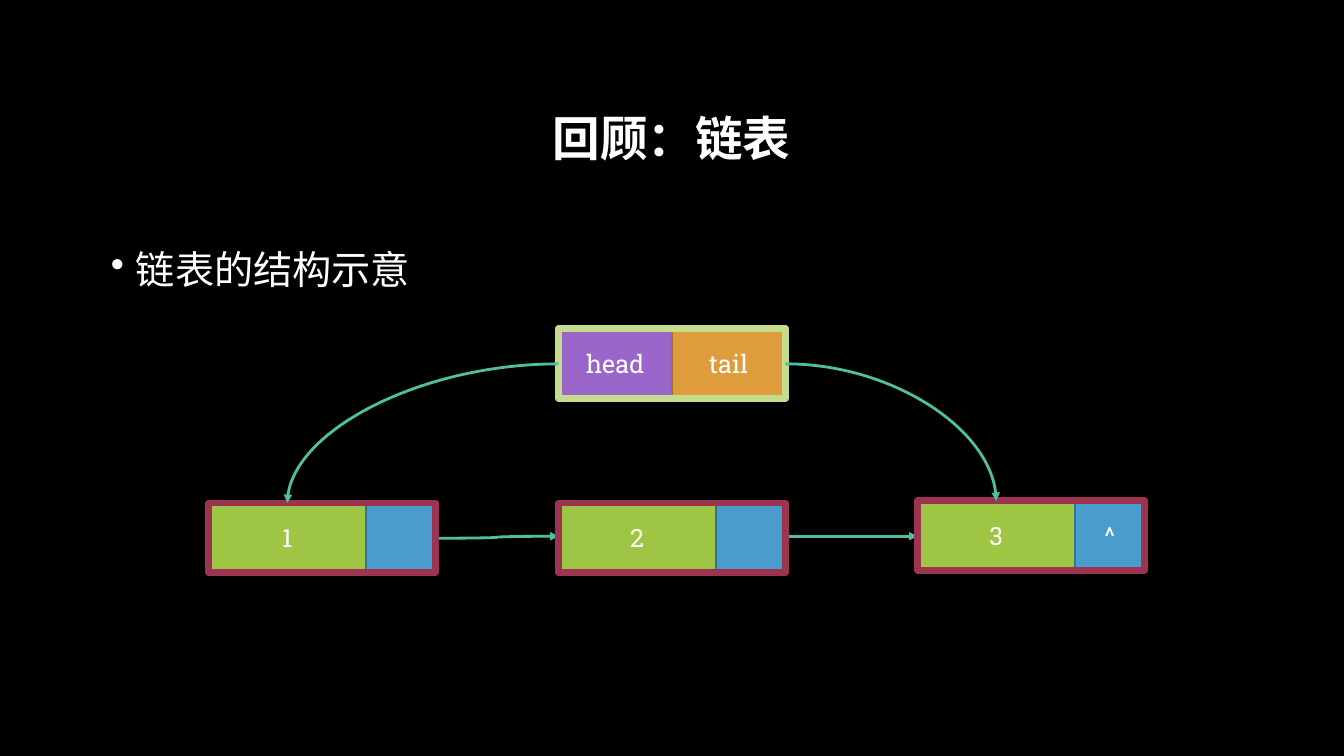
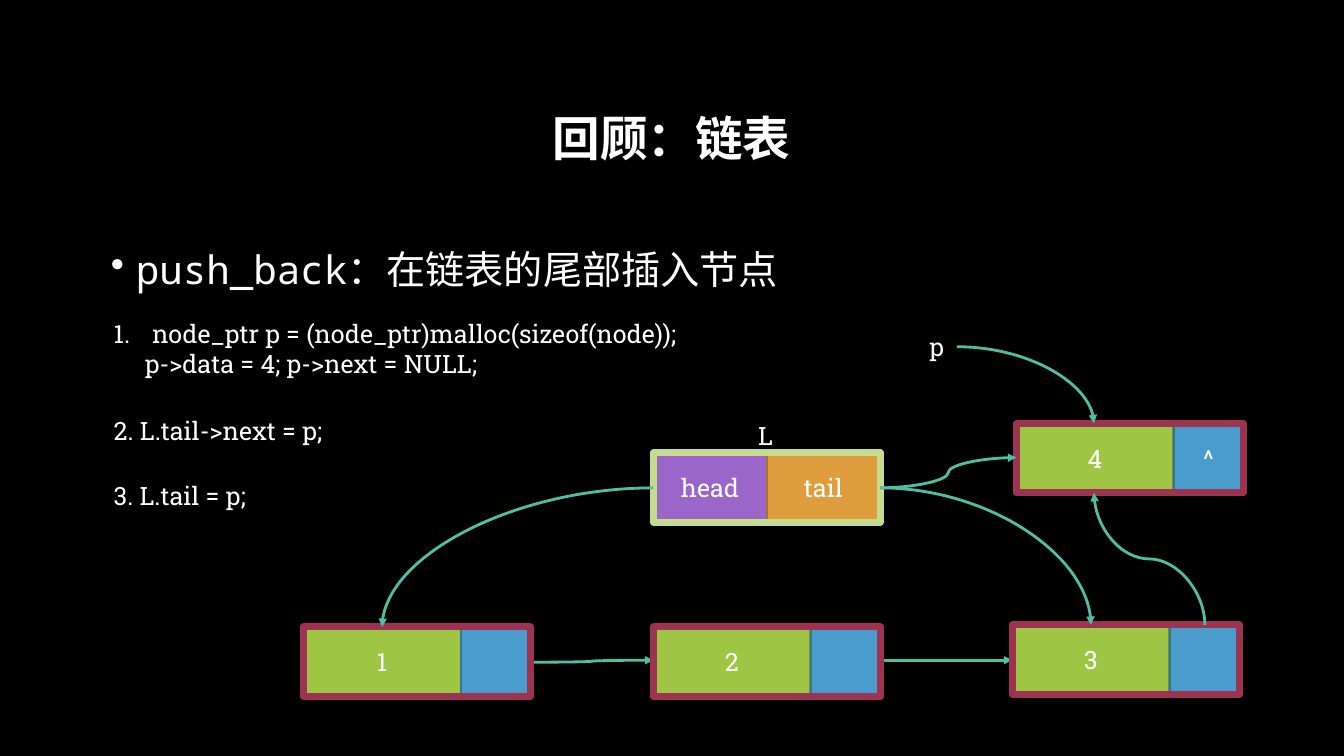
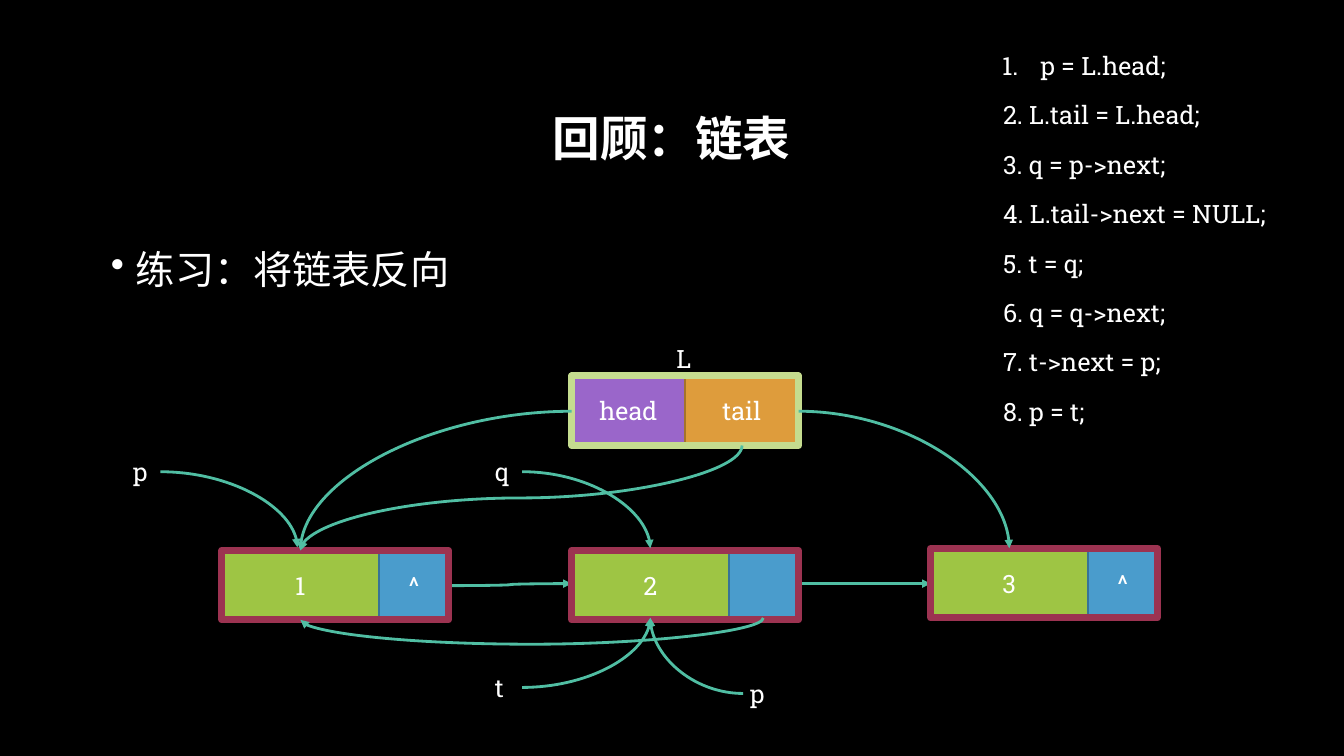
from lxml import etree
from pptx import Presentation
from pptx.dml.color import RGBColor
from pptx.enum.shapes import MSO_CONNECTOR, MSO_SHAPE
from pptx.enum.text import MSO_ANCHOR, PP_ALIGN
from pptx.oxml.ns import qn
from pptx.util import Inches, Pt

CURVE = MSO_CONNECTOR.CURVE
RECT = MSO_SHAPE.RECTANGLE
MIDDLE = MSO_ANCHOR.MIDDLE
LEFT, CENTER = PP_ALIGN.LEFT, PP_ALIGN.CENTER

SLAB, MONO = "Roboto Slab", "Noto Sans Mono"
BLACK, WHITE = "000000", "FFFFFF"
GREEN, BLUE = ("9EC544", "759232"), ("4A9CCC", "377397")
PURPLE, ORANGE = ("9A66CA", "724B95"), ("DE9C3C", "A4732C")
WINE, LIME, TEAL = "9C3351", "C5DC8F", "50BEA3"
TITLE = "回顾：链表"

WIDE, HIGH = 2.25, 0.69
DATA = WIDE - HIGH
SECOND, THIRD = 3.47, 7.03
RISE = 1.73


def color(text):
    return RGBColor.from_string(text)


def add_run(para, text, size=18, font=SLAB, bold=False):
    run = para.add_run()
    run.text = text
    run.font.size = Pt(size)
    run.font.name = font
    run.font.bold = bold
    run.font.color.rgb = color(WHITE)
    east = etree.SubElement(run._r.get_or_add_rPr(), qn("a:ea"))
    east.set("typeface", font)


def add_mark(para, indent, tag, **attrs):
    props = para._p.get_or_add_pPr()
    props.set("marL", str(Inches(indent)))
    props.set("indent", str(-Inches(indent)))
    mark = etree.SubElement(props, qn(tag))
    for key, value in attrs.items():
        mark.set(key, value)


def add_box(slide, x, y, w, h):
    frame = slide.shapes.add_textbox(Inches(x), Inches(y), Inches(w), Inches(h)).text_frame
    frame.word_wrap = True
    return frame


def add_label(slide, text, x, y, w=0.37):
    para = add_box(slide, x, y, w, 0.4).paragraphs[0]
    add_run(para, text)
    return para


def add_first(slide, text, x, y, w):
    para = add_label(slide, text, x, y, w)
    add_mark(para, 0.38, "a:buAutoNum", type="arabicPeriod")


def add_rect(slide, x, y, w, line, width, fill=None, text=""):
    shape = slide.shapes.add_shape(RECT, Inches(x), Inches(y), Inches(w), Inches(HIGH))
    shape.shadow.inherit = False
    shape.line.color.rgb = color(line)
    shape.line.width = Pt(width)
    if fill:
        shape.fill.solid()
        shape.fill.fore_color.rgb = color(fill)
    else:
        shape.fill.background()
    if text:
        frame = shape.text_frame
        frame.vertical_anchor = MIDDLE
        frame.paragraphs[0].alignment = CENTER
        add_run(frame.paragraphs[0], text)


def add_cell(slide, x, y, w, tone, text=""):
    fill, line = tone
    add_rect(slide, x, y, w, line, 1.5, fill, text)


def add_node(slide, x, y, text, end=""):
    add_cell(slide, x, y, DATA, GREEN, text)
    add_cell(slide, x + DATA, y, HIGH, BLUE, end)
    add_rect(slide, x, y, WIDE, WINE, 5)


def add_list(slide, x, y):
    add_cell(slide, x, y, WIDE / 2, PURPLE, "head")
    add_cell(slide, x + WIDE / 2, y, WIDE / 2, ORANGE, "tail")
    add_rect(slide, x, y, WIDE, LIME, 5)


def add_curve(slide, start, end, preset="curvedConnector2"):
    ends = [Inches(v) for v in (*start, *end)]
    link = slide.shapes.add_connector(CURVE, *ends)
    link.line.color.rgb = color(TEAL)
    link.line.width = Pt(2)
    tip = etree.SubElement(link.line._get_or_add_ln(), qn("a:tailEnd"))
    tip.set("type", "triangle")
    props = link._element.spPr
    etree.SubElement(props, qn("a:effectLst"))
    props.find(qn("a:prstGeom")).set("prst", preset)
    return props


def add_link(slide, start, end):
    add_curve(slide, start, end, "curvedConnector3")


def add_drop(slide, start, end, bend=0.5):
    (x1, y1), (x2, y2) = start, end
    mid_x, mid_y = (x1 + x2) / 2, (y1 + y2) / 2
    half_w = abs(y2 - y1) / 2
    down = y2 > y1
    half_h = (x1 - x2) / 2 * (1 if down else -1)
    props = add_curve(slide, (mid_x - half_w, mid_y - half_h),
                      (mid_x + half_w, mid_y + half_h), "curvedConnector3")
    props.find(qn("a:xfrm")).set("rot", str((90 if down else 270) * 60000))
    guides = props.find(qn("a:prstGeom")).find(qn("a:avLst"))
    guide = etree.SubElement(guides, qn("a:gd"))
    guide.set("name", "adj1")
    guide.set("fmla", f"val {round(bend * 100000)}")


def add_name(slide, text, x, y, end, side=0.37):
    add_label(slide, text, x, y)
    add_curve(slide, (x + side, y + 0.2), end)


def add_chain(slide, x, y, ends, name=""):
    two, three = x + SECOND, x + THIRD
    top, mid = y - RISE, y + 0.33
    add_link(slide, (x + WIDE, mid + 0.02), (two, mid))
    add_link(slide, (two + WIDE, mid), (three, mid))
    spots = ((x, y), (two, y), (three, y - 0.02))
    for num, (spot, end) in enumerate(zip(spots, ends), 1):
        add_node(slide, *spot, str(num), end)
    add_list(slide, two, top)
    if name:
        add_label(slide, name, two + 0.94, top - 0.37)
    add_curve(slide, (two, top + 0.35), (x + DATA / 2, y))
    add_curve(slide, (two + WIDE, top + 0.35), (three + DATA / 2, y - 0.02))


def add_page(deck, topic):
    slide = deck.slides.add_slide(deck.slide_layouts[6])
    frame = add_box(slide, 1, 0.67, 11.32, 1.45)
    frame.vertical_anchor = MIDDLE
    head = frame.paragraphs[0]
    head.alignment = CENTER
    head.line_spacing = 0.9
    add_run(head, TITLE, 34, bold=True)
    body = add_box(slide, 1, 2.29, 11.32, 0.8).paragraphs[0]
    body.alignment = LEFT
    body.line_spacing = 1.2
    add_mark(body, 0.25, "a:buChar", char="•")
    add_run(body, topic, 28, MONO)
    return slide


def show_form(deck):
    slide = add_page(deck, "链表的结构示意")
    add_chain(slide, 2.07, 4.99, ("", "", "^"))


def show_push(deck):
    slide = add_page(deck, "push_back：在链表的尾部插入节点")
    add_chain(slide, 3.01, 6.22, ("", "", ""), "L")
    add_node(slide, 10.08, 4.2, "4", "^")
    add_first(slide, "node_ptr p = (node_ptr)malloc(sizeof(node));", 1.03, 3.11, 6.3)
    add_label(slide, "     p->data = 4; p->next = NULL;", 1.03, 3.41, 6.3)
    add_label(slide, "2. L.tail->next = p;", 1.03, 4.07, 3)
    add_label(slide, "3. L.tail = p;", 1.03, 4.72, 3)
    add_name(slide, "p", 9.12, 3.24, (10.85, 4.2))
    add_drop(slide, (11.95, 6.2), (10.85, 4.89))
    add_link(slide, (8.73, 4.84), (10.08, 4.54))


def show_turn(deck):
    slide = add_page(deck, "练习：将链表反向")
    add_chain(slide, 2.2, 5.46, ("^", "", "^"), "L")
    add_first(slide, "p = L.head;", 9.84, 0.45, 3.2)
    steps = ("L.tail = L.head;", "q = p->next;", "L.tail->next = NULL;",
             "t = q;", "q = q->next;", "t->next = p;", "p = t;")
    for num, step in enumerate(steps, 2):
        add_label(slide, f"{num}. {step}", 9.85, 0.45 + (num - 1) * 0.49, 3.2)
    add_name(slide, "p", 1.22, 4.48, (2.95, 5.43))
    add_name(slide, "q", 4.81, 4.48, (6.45, 5.44))
    add_name(slide, "t", 4.81, 6.62, (6.45, 6.13))
    add_name(slide, "p", 7.34, 6.68, (6.45, 6.13), 0.03)
    add_drop(slide, (7.36, 4.42), (2.98, 5.46))
    add_drop(slide, (7.57, 6.13), (2.98, 6.15), 13)


def main():
    deck = Presentation()
    deck.slide_width, deck.slide_height = Inches(13.33), Inches(7.5)
    back = deck.slide_master.background.fill
    back.solid()
    back.fore_color.rgb = color(BLACK)
    show_form(deck)
    show_push(deck)
    show_turn(deck)
    deck.save("out.pptx")


if __name__ == "__main__":
    main()
